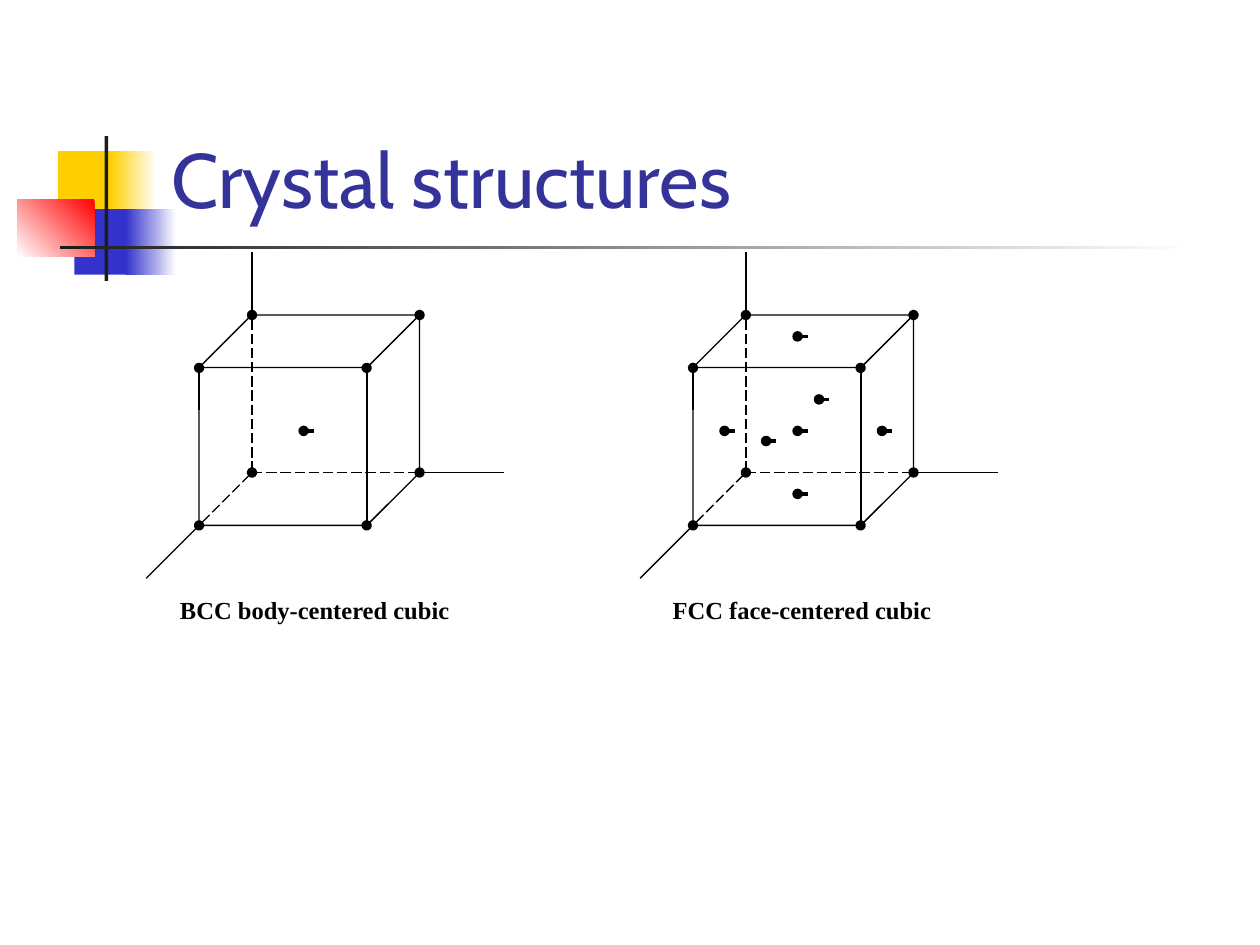
from dataclasses import dataclass

from lxml import etree
from pptx import Presentation
from pptx.dml.color import RGBColor
from pptx.enum import dml, shapes, text
from pptx.oxml.ns import qn
from pptx.util import Inches, Pt

WHITE = RGBColor(0xFF, 0xFF, 0xFF)
BLACK = RGBColor(0, 0, 0)
CHARCOAL = RGBColor(0x1C, 0x1C, 0x1C)
YELLOW = RGBColor(0xFF, 0xCF, 0x01)
BLUE = RGBColor(0x33, 0x33, 0xCC)
RED = RGBColor(0xFF, 0, 0)
TITLE_BLUE = RGBColor(0x33, 0x33, 0x99)

Point = tuple[float, float]

CUBE_TOP, CUBE_W, CUBE_H, DEPTH = 2.5, 1.75, 1.67, 0.42
ATOM_STUB = 0.08


@dataclass
class Block:
    """A rectangle, solid or fading from start to end at a clockwise angle."""
    left: float
    top: float
    width: float
    height: float
    start: RGBColor
    end: RGBColor | None = None
    angle: float = 180


@dataclass
class Edge:
    """A line given relative to the top left corner of the cube."""
    start: Point
    end: Point
    head: bool = False
    tail: bool = False
    dashed: bool = False
    width: float = 0.75


@dataclass
class Crystal:
    left: float
    label: str
    label_left: float
    label_width: float
    atoms: list[Point]


BLOCKS = [
    Block(0.46, 1.2, 0.48, 0.52, YELLOW),
    Block(0.88, 1.2, 0.36, 0.52, WHITE, YELLOW),
    Block(0.59, 1.66, 0.46, 0.52, BLUE),
    Block(1, 1.66, 0.4, 0.52, WHITE, BLUE),
    Block(0.14, 1.58, 0.61, 0.46, RED, WHITE, 135),
    Block(0.83, 1.08, 0.03, 1.15, CHARCOAL),
    Block(0.48, 1.95, 9, 0.03, WHITE, CHARCOAL),
]

# Corners of the cube: front face and back face
FRONT_TOP_LEFT = (0, DEPTH)
FRONT_TOP_RIGHT = (CUBE_W - DEPTH, DEPTH)
FRONT_LOW_LEFT = (0, CUBE_H)
FRONT_LOW_RIGHT = (CUBE_W - DEPTH, CUBE_H)
BACK_TOP_LEFT = (DEPTH, 0)
BACK_TOP_RIGHT = (CUBE_W, 0)
BACK_LOW_LEFT = (DEPTH, CUBE_H - DEPTH)
BACK_LOW_RIGHT = (CUBE_W, CUBE_H - DEPTH)

EDGES = [
    Edge(FRONT_LOW_LEFT, BACK_LOW_LEFT, head=True, tail=True, dashed=True),
    Edge(BACK_TOP_LEFT, BACK_LOW_LEFT, head=True, dashed=True),
    Edge(BACK_LOW_LEFT, BACK_LOW_RIGHT, tail=True, dashed=True),
    Edge(FRONT_LOW_LEFT, (-DEPTH, CUBE_H + DEPTH)),
    Edge(BACK_LOW_RIGHT, (CUBE_W + 0.67, CUBE_H - DEPTH)),
    Edge(BACK_TOP_LEFT, (DEPTH, -0.5)),
    Edge(BACK_TOP_RIGHT, FRONT_TOP_RIGHT, head=True, tail=True),
    Edge(FRONT_TOP_LEFT, (0, 0.75), head=True),
    Edge(FRONT_LOW_RIGHT, (1.5, 1.5), head=True),
]

CENTRE = (0.83, 0.92)
FACES = [(0.25, 0.92), (0.83, 1.42), (0.58, 1), (1.5, 0.92), (1, 0.67), (0.83, 0.17)]

CRYSTALS = [
    Crystal(1.58, "BCC body-centered cubic", 1.33, 2.34, [CENTRE]),
    Crystal(5.5, "FCC face-centered cubic", 5.24, 2.26, [CENTRE, *FACES]),
]


def add_block(s, b: Block) -> None:
    sp = s.shapes.add_shape(shapes.MSO_SHAPE.RECTANGLE, Inches(b.left), Inches(b.top),
                            Inches(b.width), Inches(b.height))
    sp.shadow.inherit = False
    sp.line.fill.background()
    if b.end is None:
        sp.fill.solid()
        sp.fill.fore_color.rgb = b.start
    else:
        sp.fill.gradient()
        sp.fill.gradient_angle = 360 - b.angle
        for stop, color in zip(sp.fill.gradient_stops, (b.start, b.end)):
            stop.color.rgb = color


def add_edge(group, left: float, e: Edge) -> None:
    (x1, y1), (x2, y2) = e.start, e.end
    line = group.shapes.add_connector(
        shapes.MSO_CONNECTOR.STRAIGHT, Inches(left + x1), Inches(CUBE_TOP + y1),
        Inches(left + x2), Inches(CUBE_TOP + y2))
    line.line.color.rgb = BLACK
    line.line.width = Pt(e.width)
    if e.dashed:
        line.line.dash_style = dml.MSO_LINE.LONG_DASH
    props = line.line._get_or_add_ln()
    for tag, wanted in (("a:headEnd", e.head), ("a:tailEnd", e.tail)):
        if wanted:
            etree.SubElement(props, qn(tag), type="oval")
    etree.SubElement(line._element.spPr, qn("a:effectLst"))


def add_label(group, c: Crystal) -> None:
    tf = group.shapes.add_textbox(Inches(c.label_left), Inches(4.67),
                                  Inches(c.label_width), Inches(0.34)).text_frame
    tf.word_wrap = False
    tf.auto_size = text.MSO_AUTO_SIZE.SHAPE_TO_FIT_TEXT
    p = tf.paragraphs[0]
    p.text = c.label
    p.font.name = "Times New Roman"
    p.font.size = Pt(14)
    p.font.bold = True
    p.font.color.rgb = BLACK


def add_crystal(s, c: Crystal) -> None:
    group = s.shapes.add_group_shape()
    cube = group.shapes.add_shape(shapes.MSO_SHAPE.CUBE, Inches(c.left), Inches(CUBE_TOP),
                                  Inches(CUBE_W), Inches(CUBE_H))
    cube.adjustments[0] = 0.25
    cube.shadow.inherit = False
    cube.fill.background()
    cube.line.color.rgb = BLACK
    cube.line.width = Pt(0.75)
    for e in EDGES:
        add_edge(group, c.left, e)
    for x, y in c.atoms:
        add_edge(group, c.left, Edge((x, y), (x + ATOM_STUB, y), head=True, width=0))
    add_label(group, c)


def set_title(s, title: str) -> None:
    sp = s.shapes.title
    sp.left, sp.top, sp.width, sp.height = (Inches(v) for v in (1.26, 0.23, 8.52, 1.6))
    tf = sp.text_frame
    tf.auto_size = text.MSO_AUTO_SIZE.NONE
    tf.vertical_anchor = text.MSO_ANCHOR.BOTTOM
    p = tf.paragraphs[0]
    p.text = title
    p.alignment = text.PP_ALIGN.LEFT
    p.font.name = "Cabin"
    p.font.size = Pt(44)
    p.font.color.rgb = TITLE_BLUE


def main() -> None:
    prs = Presentation()
    prs.slide_width, prs.slide_height = Inches(10), Inches(7.5)
    s = prs.slides.add_slide(prs.slide_layouts[5])
    set_title(s, "Crystal structures")
    for b in BLOCKS:
        add_block(s, b)
    for c in CRYSTALS:
        add_crystal(s, c)
    prs.save("out.pptx")


if __name__ == "__main__":
    main()
